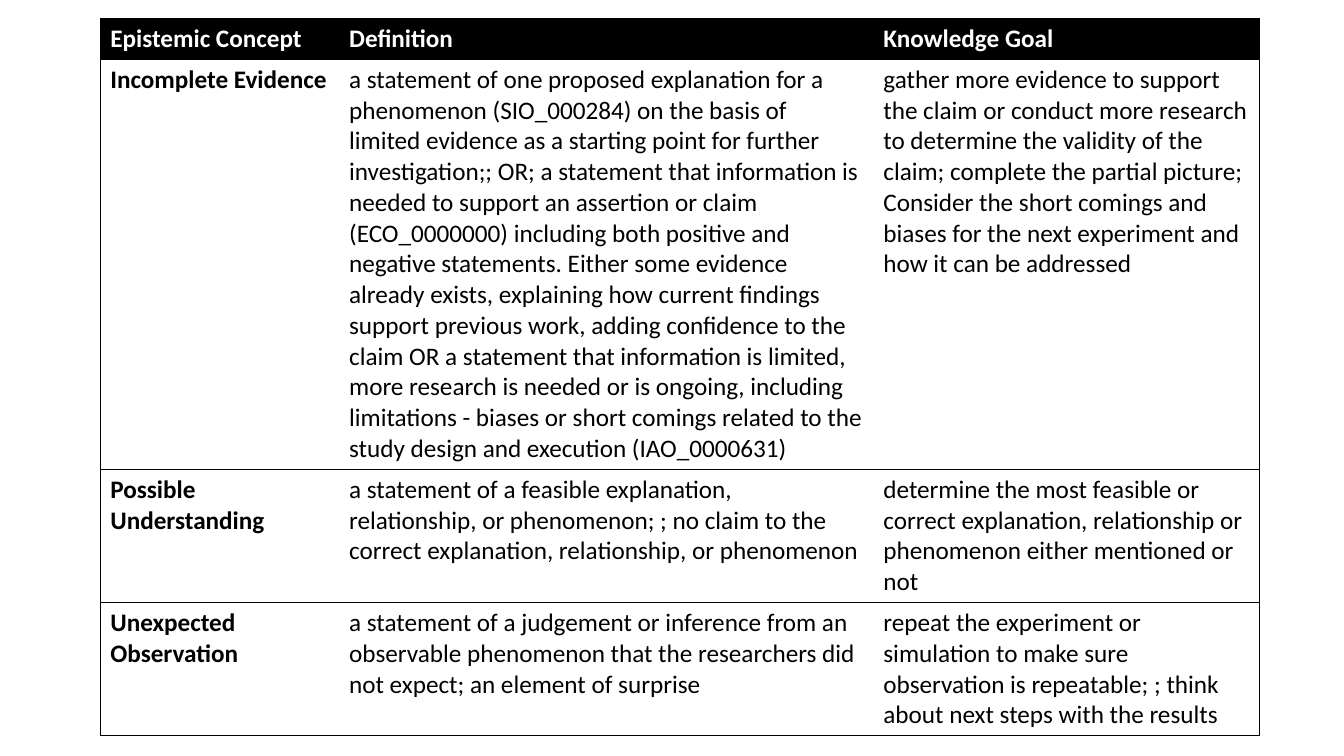
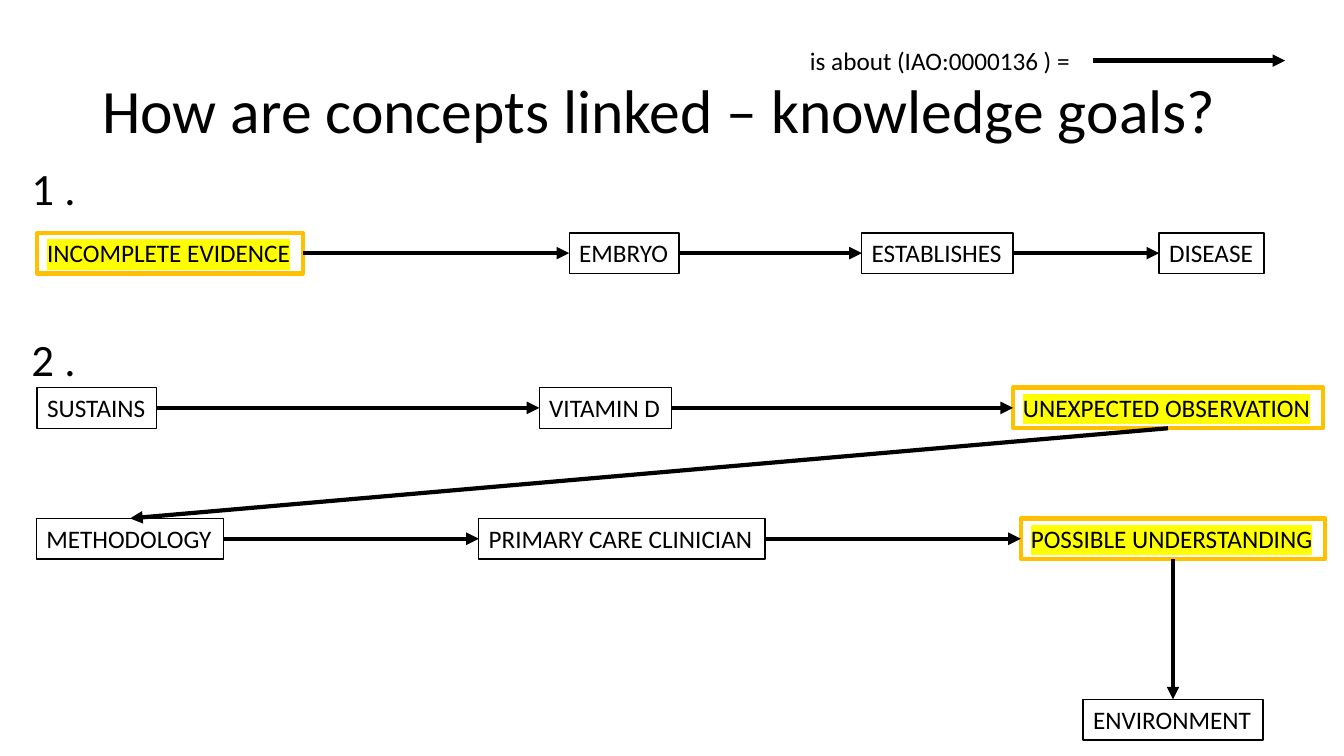
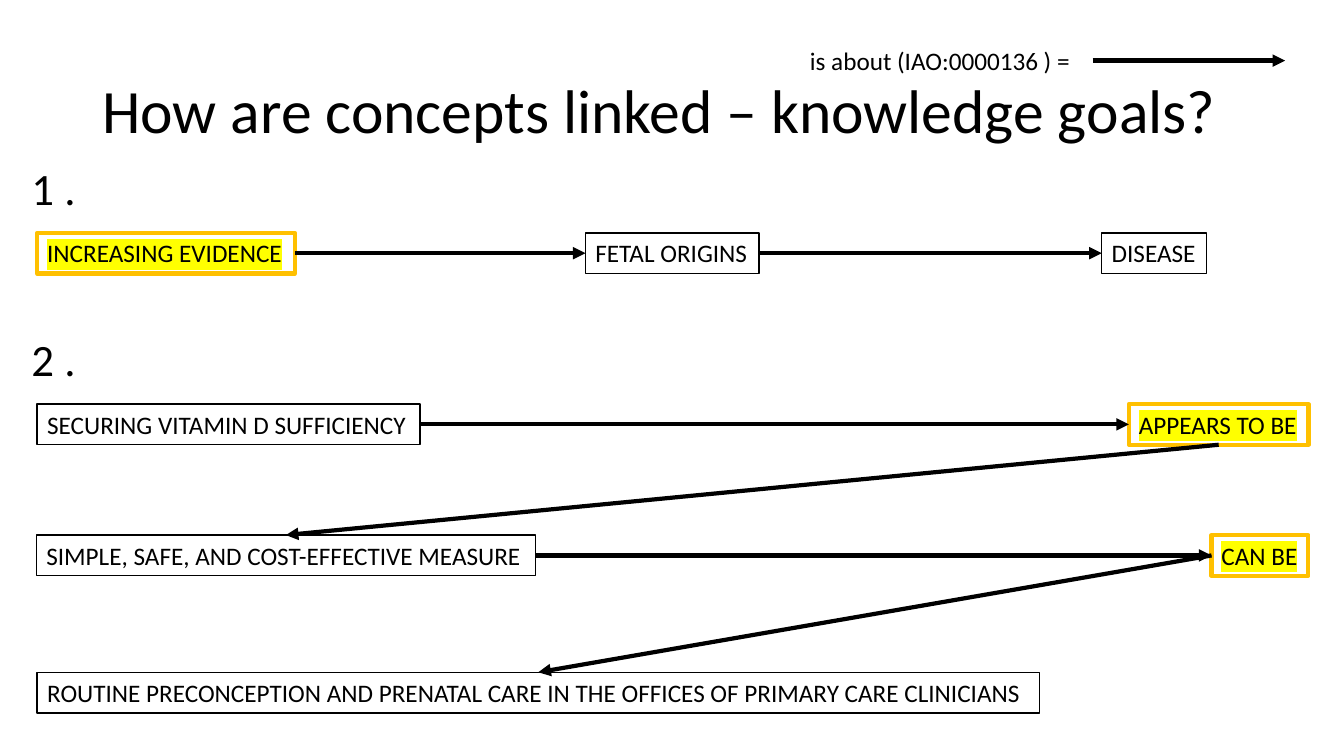
from itertools import pairwise

from lxml.etree import SubElement
from pptx import Presentation
from pptx.dml.color import RGBColor
from pptx.enum.shapes import MSO_CONNECTOR, MSO_SHAPE
from pptx.enum.text import MSO_ANCHOR, MSO_AUTO_SIZE, PP_ALIGN
from pptx.oxml import parse_xml
from pptx.oxml.ns import nsdecls, qn
from pptx.util import Pt

# Shared look
FONT = "Calibri"
BLACK, WHITE, GOLD, YELLOW = "000000", "FFFFFF", "FFC000", "FFFF00"
BODY, LABEL, TITLE = 18, 32, 44
BOX_HIGH = 29.1
TOP, LEFT, BOTTOM, RIGHT = range(4)  # connection sites of a rectangle

# Table content
HEADS = ["Epistemic Concept", "Definition", "Knowledge Goal"]
GOALS = [
    ["Incomplete Evidence",
     "a statement of one proposed explanation for a phenomenon (SIO_000284) "
     "on the basis of limited evidence as a starting point for further "
     "investigation;; OR; a statement that information is needed to support "
     "an assertion or claim (ECO_0000000) including both positive and "
     "negative statements. Either some evidence already exists, explaining "
     "how current findings support previous work, adding confidence to the "
     "claim OR a statement that information is limited, more research is "
     "needed or is ongoing, including limitations - biases or short comings "
     "related to the study design and execution (IAO_0000631)",
     "gather more evidence to support the claim or conduct more research to "
     "determine the validity of the claim; complete the partial picture; "
     "Consider the short comings and biases for the next experiment and how "
     "it can be addressed"],
    ["Possible Understanding",
     "a statement of a feasible explanation, relationship, or phenomenon; ; "
     "no claim to the correct explanation, relationship, or phenomenon",
     "determine the most feasible or correct explanation, relationship or "
     "phenomenon either mentioned or not"],
    ["Unexpected Observation",
     "a statement of a judgement or inference from an observable phenomenon "
     "that the researchers did not expect; an element of surprise",
     "repeat the experiment or simulation to make sure observation is "
     "repeatable; ; think about next steps with the results"],
]
WIDTHS = [170.6, 381.6, 275.8]
HEIGHTS = [29.2, 292.5, 95, 95]


def tint(code):
    return RGBColor.from_string(code)


def write(frame, text, size=BODY, color=BLACK, bold=False):
    """Fill a text frame and return its only run."""
    frame.text = text
    para = frame.paragraphs[0]
    para.alignment = PP_ALIGN.LEFT
    run = para.runs[0]
    run.font.name = FONT
    run.font.size = Pt(size)
    run.font.bold = bold
    run.font.color.rgb = tint(color)
    return run


def fit(frame):
    frame.vertical_anchor = MSO_ANCHOR.TOP
    frame.word_wrap = False
    frame.auto_size = MSO_AUTO_SIZE.SHAPE_TO_FIT_TEXT


def add_text(slide, text, left, top, width, height, size=BODY):
    frame = slide.shapes.add_textbox(
        Pt(left), Pt(top), Pt(width), Pt(height)).text_frame
    write(frame, text, size)
    fit(frame)
    return frame


def add_box(slide, text, left, top, width, marked=False):
    """Concept box; a marked one has a gold frame and yellow highlight."""
    box = slide.shapes.add_shape(
        MSO_SHAPE.RECTANGLE, Pt(left), Pt(top), Pt(width), Pt(BOX_HIGH))
    box.shadow.inherit = False
    box.fill.solid()
    box.fill.fore_color.rgb = tint(WHITE)
    box.line.color.rgb = tint(GOLD if marked else BLACK)
    box.line.width = Pt(3 if marked else 1)
    run = write(box.text_frame, text)
    fit(box.text_frame)
    if marked:
        fill = run.font._element.find(qn("a:solidFill"))
        fill.addnext(parse_xml(
            f'<a:highlight {nsdecls("a")}><a:srgbClr val="{YELLOW}"/>'
            '</a:highlight>'))
    return box


def add_arrow(slide, x1=0, y1=0, x2=0, y2=0):
    arrow = slide.shapes.add_connector(
        MSO_CONNECTOR.STRAIGHT, Pt(x1), Pt(y1), Pt(x2), Pt(y2))
    arrow.line.color.rgb = tint(BLACK)
    arrow.line.width = Pt(3)
    SubElement(arrow.line._get_or_add_ln(), qn("a:tailEnd"), type="triangle")
    SubElement(arrow._element.spPr, qn("a:effectLst"))
    return arrow


def link(slide, start, end, exit=RIGHT, entry=LEFT):
    arrow = add_arrow(slide)
    arrow.begin_connect(start, exit)
    arrow.end_connect(end, entry)


def add_chain(slide, top, *items):
    """Row of boxes, each linked to the next."""
    boxes = [add_box(slide, text, left, top, width, *mark)
             for text, left, width, *mark in items]
    for start, end in pairwise(boxes):
        link(slide, start, end)
    return boxes


def add_edge(cell, side, shown):
    """Border on one side of a cell."""
    props = cell._tc.get_or_add_tcPr()
    line = SubElement(props, qn(f"a:ln{side}"), w=str(Pt(0.5)))
    if shown:
        fill = SubElement(line, qn("a:solidFill"))
        SubElement(fill, qn("a:srgbClr"), val=BLACK)
    else:
        SubElement(line, qn("a:noFill"))


def add_grid(slide):
    rows = [HEADS, *GOALS]
    table = slide.shapes.add_table(
        len(rows), len(HEADS), Pt(71.6), Pt(13.2),
        Pt(sum(WIDTHS)), Pt(sum(HEIGHTS))).table
    table.first_row = table.horz_banding = False
    for col, width in zip(table.columns, WIDTHS):
        col.width = Pt(width)
    for row, height in zip(table.rows, HEIGHTS):
        row.height = Pt(height)
    for r, row in enumerate(rows):
        for c, text in enumerate(row):
            cell = table.cell(r, c)
            head = r == 0
            write(cell.text_frame, text, BODY, WHITE if head else BLACK,
                  head or c == 0)
            # Lines run across; only the outer sides are drawn
            add_edge(cell, "L", c == 0)
            add_edge(cell, "R", c == len(row) - 1)
            add_edge(cell, "T", True)
            add_edge(cell, "B", True)
            cell.fill.solid()
            cell.fill.fore_color.rgb = tint(BLACK if head else WHITE)


def add_slide(deck):
    return deck.slides.add_slide(deck.slide_layouts[6])


def add_map(deck):
    """Slide with title, arrow legend and the two example numbers."""
    slide = add_slide(deck)
    title = add_text(slide, "How are concepts linked – knowledge goals?",
                     66, 28.8, 828, 104.4, TITLE)
    title.word_wrap = True
    title.auto_size = MSO_AUTO_SIZE.NONE
    title.vertical_anchor = MSO_ANCHOR.MIDDLE
    title.paragraphs[0].line_spacing = 0.9
    add_text(slide, "is about (IAO:0000136 ) =", 571.5, 29, 206.6, BOX_HIGH)
    add_arrow(slide, 780.5, 43.3, 918, 43.3)
    for text, top in [("1 .", 110.9), ("2 .", 233.6)]:
        add_text(slide, text, 15.4, top, 46.8, 46, LABEL)
    return slide


def add_single(deck):
    """Links between single concepts."""
    slide = add_map(deck)
    add_chain(slide, 166.3,
              ("INCOMPLETE EVIDENCE", 26.6, 189.8, True),
              ("EMBRYO", 406.6, 78.5),
              ("ESTABLISHES", 615.6, 108),
              ("DISEASE", 828, 75))
    upper = add_chain(slide, 276.8,
                      ("SUSTAINS", 26.6, 85.2),
                      ("VITAMIN D", 385.2, 94.6),
                      ("UNEXPECTED OBSERVATION", 723.6, 221.4, True))
    lower = add_chain(slide, 370.3,
                      ("METHODOLOGY", 26, 133.8),
                      ("PRIMARY CARE CLINICIAN", 342, 204.6),
                      ("POSSIBLE UNDERSTANDING", 729.2, 217.4, True))
    last = add_box(slide, "ENVIRONMENT", 773.7, 499.6, 128.4)
    link(slide, upper[-1], lower[0], BOTTOM, TOP)
    link(slide, lower[-1], last, BOTTOM, TOP)


def add_phrase(deck):
    """Links between whole phrases."""
    slide = add_map(deck)
    add_chain(slide, 166.3,
              ("INCREASING EVIDENCE", 26.6, 184, True),
              ("FETAL ORIGINS", 418.2, 124),
              ("DISEASE", 787, 75))
    upper = add_chain(slide, 288.6,
                      ("SECURING VITAMIN D SUFFICIENCY", 26.6, 273.6),
                      ("APPEARS TO BE", 806.4, 128.2, True))
    lower = add_chain(slide, 382.2,
                      ("SIMPLE, SAFE, AND COST-EFFECTIVE MEASURE", 26, 356.4),
                      ("CAN BE", 865.4, 69.2, True))
    last = add_box(slide, "ROUTINE PRECONCEPTION AND PRENATAL CARE IN THE "
                   "OFFICES OF PRIMARY CARE CLINICIANS", 26.6, 480.2, 715.8)
    link(slide, upper[-1], lower[0], BOTTOM, TOP)
    link(slide, lower[-1], last, LEFT, TOP)


def main():
    deck = Presentation()
    deck.slide_width, deck.slide_height = Pt(960), Pt(540)
    add_grid(add_slide(deck))
    add_single(deck)
    add_phrase(deck)
    deck.save("out.pptx")


if __name__ == "__main__":
    main()
